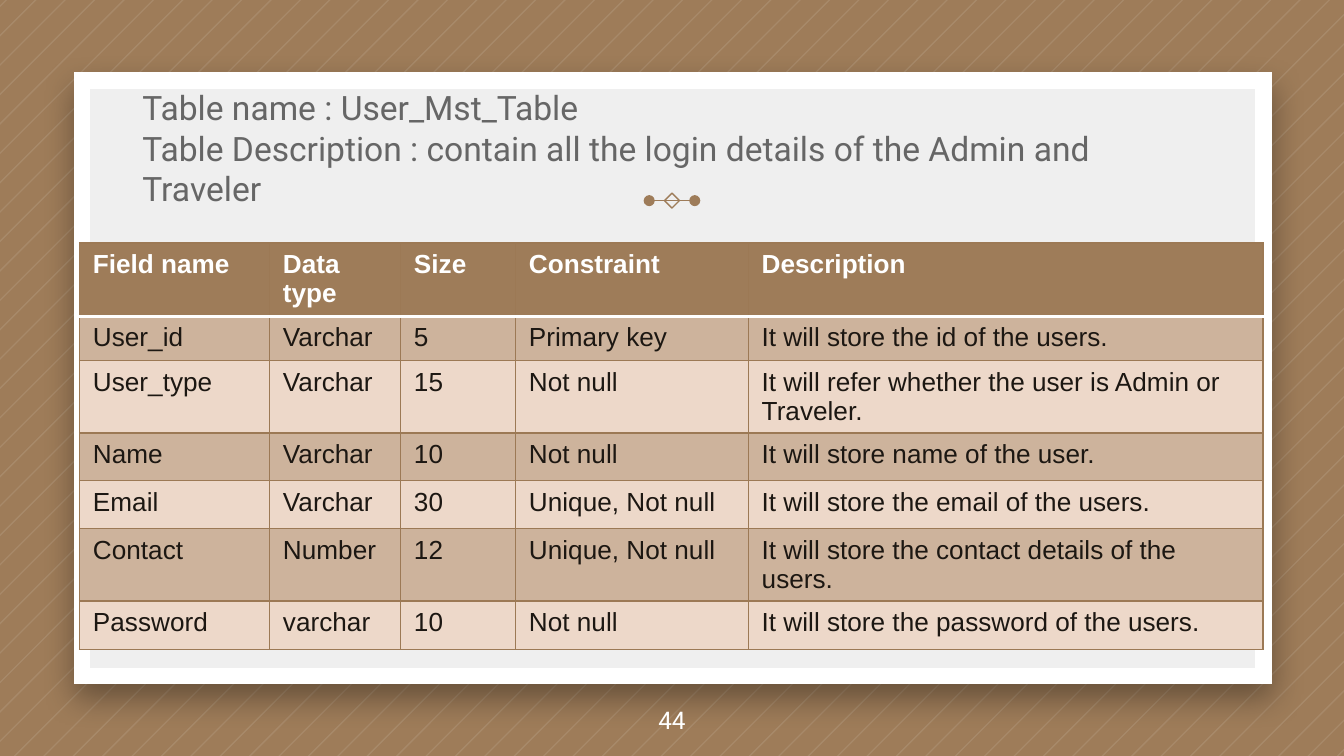
import lxml.etree
import pptx
import pptx.dml.color
import pptx.enum.shapes
import pptx.enum.text
import pptx.oxml.ns
import pptx.util

Pt = pptx.util.Pt
WIDTH, HEIGHT = 720, 405
BROWN, WHITE, EDGE = "9E7C59", "FFFFFF", "9C7955"
COLS = [101.8, 70.2, 61.6, 124.7, 275.8]
ROWS = [39.4, 23.7, 38.6, 25.6, 25.6, 38.8, 26]
FIELDS = [
    ["Field name", "Data type", "Size", "Constraint", "Description"],
    ["User_id", "Varchar", "5", "Primary key", "It will store the id of the users."],
    ["User_type", "Varchar", "15", "Not null",
     "It will refer whether the user is Admin or Traveler."],
    ["Name", "Varchar", "10", "Not null", "It will store name of the user."],
    ["Email", "Varchar", "30", "Unique, Not null", "It will store the email of the users."],
    ["Contact", "Number", "12", "Unique, Not null",
     "It will store the contact details of the users."],
    ["Password", "varchar", "10", "Not null", "It will store the password of the users."],
]


def paint(target, color):
    """Give a fill one solid colour."""
    target.solid()
    target.fore_color.rgb = pptx.dml.color.RGBColor.from_string(color)


def node(parent, tag, **attrs):
    """Add a drawing element with its attributes."""
    return lxml.etree.SubElement(parent, pptx.oxml.ns.qn("a:" + tag),
                                 {key: str(value) for key, value in attrs.items()})


def style(para, size, face, color, bold=False):
    """Set the font of a paragraph."""
    font = para.font
    font.size, font.name, font.bold = Pt(size), face, bold
    paint(font.fill, color)


def frame_text(shape, words, anchor):
    """Fill a shape with one paragraph and return it."""
    frame = shape.text_frame
    frame.word_wrap = True
    frame.auto_size = pptx.enum.text.MSO_AUTO_SIZE.NONE
    frame.vertical_anchor = anchor
    frame.margin_left = frame.margin_right = Pt(7.2)
    frame.margin_top = frame.margin_bottom = Pt(7.2)
    frame.text = words
    return frame.paragraphs[0]


def add_stripes(slide, left, top, width, height):
    """Draw thin diagonal stripes across a box."""
    def ends(cut):
        return [(Pt(left + min(cut, width)), Pt(top + max(0, cut - width))),
                (Pt(left + max(0, cut - height)), Pt(top + min(cut, height)))]

    pen = None
    for index in range(72):
        cut = 2.9 + 15.75 * index
        first, *rest = ends(cut) + ends(cut + 1)[::-1]
        if pen is None:
            pen = slide.shapes.build_freeform(*first, scale=1.0)
        else:
            pen.move_to(*first)
        pen.add_line_segments(rest, close=True)
    shape = pen.convert_to_shape()
    shape.shadow.inherit = False
    shape.line.fill.background()
    paint(shape.fill, WHITE)
    color = shape.element.spPr.find(".//" + pptx.oxml.ns.qn("a:srgbClr"))
    node(color, "alpha", val=10000)


def add_card(slide, left, top, width, height):
    """Draw the framed card with its soft shadow."""
    card = slide.shapes.add_shape(pptx.enum.shapes.MSO_SHAPE.RECTANGLE,
                                  Pt(left), Pt(top), Pt(width), Pt(height))
    paint(card.fill, "EFEFEF")
    paint(card.line.fill, WHITE)
    card.line.width = Pt(9)
    node(card.line.fill._xPr, "miter", lim=800000)
    card.shadow.inherit = False
    effects = card.element.spPr.find(pptx.oxml.ns.qn("a:effectLst"))
    shade = node(effects, "outerShdw", blurRad=Pt(16.9), dist=Pt(7.5),
                 dir=5400000, algn="t", rotWithShape=0)
    node(node(shade, "srgbClr", val="000000"), "alpha", val=35000)


def add_mark(slide, left, top, width, height):
    """Draw a dotted line with a diamond at its middle."""
    middle = top + height / 2
    line = slide.shapes.add_connector(pptx.enum.shapes.MSO_CONNECTOR.STRAIGHT, Pt(left),
                                      Pt(middle), Pt(left + width), Pt(middle))
    gem = slide.shapes.add_shape(pptx.enum.shapes.MSO_SHAPE.DIAMOND,
                                 Pt(left + (width - height) / 2), Pt(top),
                                 Pt(height), Pt(height))
    gem.fill.background()
    gem.shadow.inherit = False
    for part in (line, gem):
        paint(part.line.fill, BROWN)
        part.line.width = Pt(0.75)
    for end in ("headEnd", "tailEnd"):
        node(line.line.fill._xPr, end, type="oval")
    node(line.element.spPr, "effectLst")


def add_title(slide, left, top, width, height):
    """Place the title above the table."""
    title = slide.shapes.title
    title.left, title.top, title.width, title.height = map(Pt, (left, top, width, height))
    title.element.getparent().append(title.element)
    para = frame_text(title, "Table name : User_Mst_Table\vTable Description : contain all "
                      "the login details of the Admin and Traveler",
                      pptx.enum.text.MSO_ANCHOR.BOTTOM)
    para.alignment = pptx.enum.text.PP_ALIGN.LEFT
    style(para, 18, "Roboto", "666666")


def add_number(slide, left, top, width, height):
    """Write the page number."""
    box = slide.shapes.add_textbox(Pt(left), Pt(top), Pt(width), Pt(height))
    para = frame_text(box, "44", pptx.enum.text.MSO_ANCHOR.MIDDLE)
    para.alignment = pptx.enum.text.PP_ALIGN.CENTER
    style(para, 13, "Roboto", WHITE)


def edge_cell(cell, row):
    """Draw the borders of a cell, with a white rule under the header."""
    props = cell._tc.get_or_add_tcPr()
    for side in "LRTB":
        rule = (row, side) in ((0, "B"), (1, "T"))
        line = node(props, "ln" + side, w=Pt(2 if rule else 0.75))
        node(node(line, "solidFill"), "srgbClr", val=WHITE if rule else EDGE)


def add_fields(slide, left, top, width, height):
    """Build the table of fields."""
    table = slide.shapes.add_table(len(ROWS), len(COLS), Pt(left), Pt(top),
                                   Pt(width), Pt(height)).table
    for column, size in zip(table.columns, COLS):
        column.width = Pt(size)
    for index, (row, size) in enumerate(zip(table.rows, ROWS)):
        row.height = Pt(size)
        head = index == 0
        shade = BROWN if head else "CDB39C" if index % 2 else "EDD8C9"
        for cell, words in zip(row.cells, FIELDS[index]):
            edge_cell(cell, index)
            paint(cell.fill, shade)
            cell.text = words
            style(cell.text_frame.paragraphs[0], 14, "Arial",
                  WHITE if head else "1C1712", head)


def main():
    """Build the slide and save it."""
    deck = pptx.Presentation()
    deck.slide_width, deck.slide_height = Pt(WIDTH), Pt(HEIGHT)
    slide = deck.slides.add_slide(deck.slide_layouts[5])
    paint(slide.background.fill, BROWN)
    add_stripes(slide, 0, 0, WIDTH, HEIGHT)
    add_card(slide, 43.9, 43.2, 632.9, 319)
    add_mark(slide, 347.8, 103.5, 24.4, 8)
    add_title(slide, 69.1, 60.5, 582.5, 58.3)
    add_number(slide, 0, 366, WIDTH, 39)
    add_fields(slide, 42.6, 130.2, sum(COLS), sum(ROWS))
    deck.save("out.pptx")


if __name__ == "__main__":
    main()
